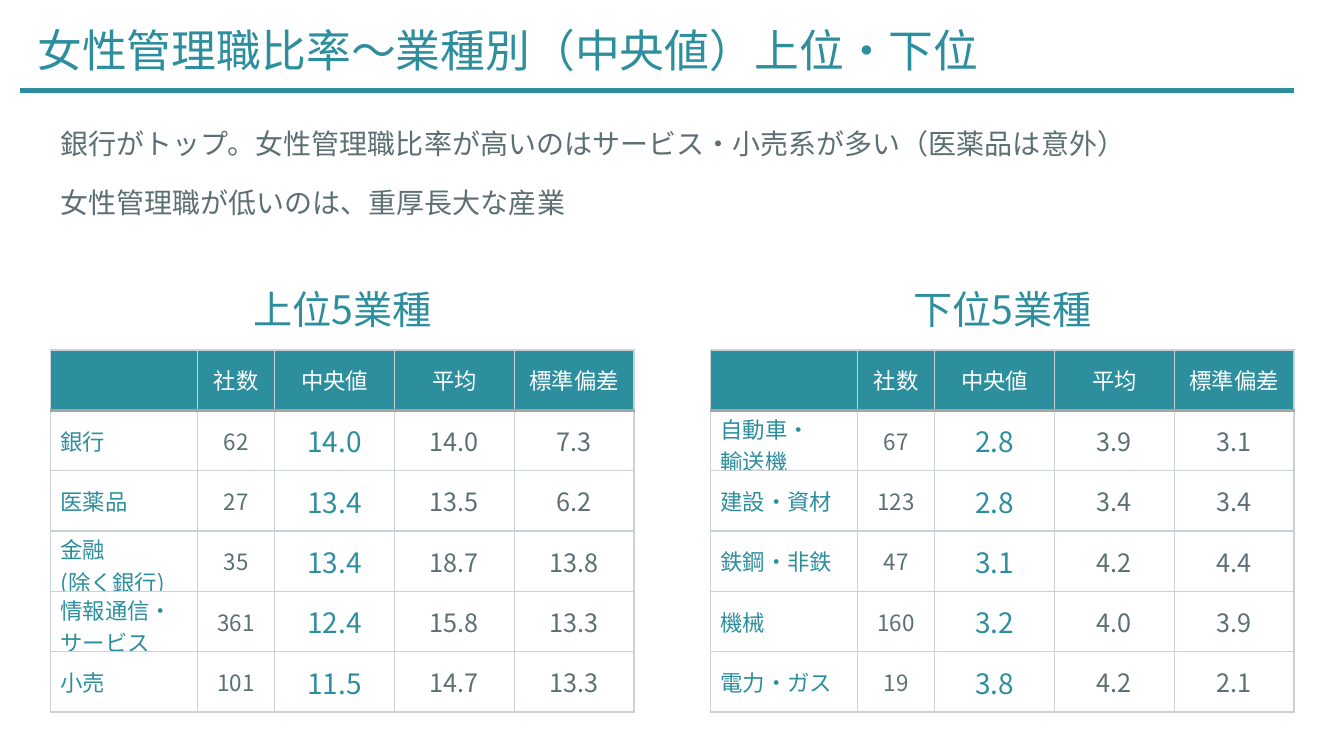
from lxml.etree import SubElement
from pptx import Presentation
from pptx.dml.color import RGBColor
from pptx.enum.shapes import MSO_CONNECTOR as CONN
from pptx.enum.text import MSO_ANCHOR as ANCHOR, PP_ALIGN as ALIGN
from pptx.oxml import parse_xml
from pptx.oxml.ns import nsdecls, qn
from pptx.util import Pt

FONT = "Noto Sans CJK JP"
TEAL, GRAY, WHITE = "2D8F9E", "5C6F73", "FFFFFF"
GRID, HEADER_RULE = "C9D2D4", "A5A5A5"
TABLE_W, ROW_H = 417, 43.1
COL_WIDTHS = [105.2, 55, 85.6, 85.6, 85.6]
HEADER = ["", "社数", "中央値", "平均", "標準偏差"]
BODY_STYLES = [
    (16, TEAL, ALIGN.LEFT),
    (16, GRAY, ALIGN.CENTER),
    (20, TEAL, ALIGN.CENTER),
    (18, GRAY, ALIGN.CENTER),
    (18, GRAY, ALIGN.CENTER),
]
TOP_ROWS = [
    ["銀行", "62", "14.0", "14.0", "7.3"],
    ["医薬品", "27", "13.4", "13.5", "6.2"],
    ["金融\n(除く銀行)", "35", "13.4", "18.7", "13.8"],
    ["情報通信・\nサービス", "361", "12.4", "15.8", "13.3"],
    ["小売", "101", "11.5", "14.7", "13.3"],
]
BOTTOM_ROWS = [
    ["自動車・\n輸送機", "67", "2.8", "3.9", "3.1"],
    ["建設・資材", "123", "2.8", "3.4", "3.4"],
    ["鉄鋼・非鉄", "47", "3.1", "4.2", "4.4"],
    ["機械", "160", "3.2", "4.0", "3.9"],
    ["電力・ガス", "19", "3.8", "4.2", "2.1"],
]


def rgb(color):
    """Turn a hex string into a colour."""
    return RGBColor.from_string(color)


def write(tf, text, size, color, align=ALIGN.LEFT):
    """Fill a text frame, one paragraph per line."""
    tf.text = text
    for p in tf.paragraphs:
        p.alignment = align
        p.font.size = Pt(size)
        p.font.name = FONT
        p.font.color.rgb = rgb(color)
        latin = next(p._p.iter(qn("a:latin")))
        latin.addnext(latin.makeelement(qn("a:ea"), {"typeface": FONT}))


def add_text(s, text, x, y, w, h, size, color, align=ALIGN.LEFT):
    """Add a wrapping text box and return its frame."""
    tf = s.shapes.add_textbox(Pt(x), Pt(y), Pt(w), Pt(h)).text_frame
    tf.word_wrap = True
    write(tf, text, size, color, align)
    return tf


def add_rule(s, x1, x2, y):
    """Draw the horizontal rule under the title."""
    line = s.shapes.add_connector(CONN.STRAIGHT, Pt(x1), Pt(y), Pt(x2), Pt(y))
    line.line.color.rgb = rgb(TEAL)
    line.line.width = Pt(3)
    SubElement(line._element.spPr, qn("a:effectLst"))


def set_borders(cell, top, bottom):
    """Draw the four borders of a cell; top and bottom are (colour, width)."""
    side = (GRID, 1)
    edges = [("L", side), ("R", side), ("T", top), ("B", bottom)]
    tcPr = cell._tc.get_or_add_tcPr()
    for i, (edge, (color, width)) in enumerate(edges):
        tcPr.insert(i, parse_xml(
            f'<a:ln{edge} {nsdecls("a")} w="{Pt(width)}"><a:solidFill>'
            f'<a:srgbClr val="{color}"/></a:solidFill></a:ln{edge}>'))


def style_cell(cell, row, col, text):
    """Write and format one cell of an industry table."""
    thin, thick = (GRID, 1), (HEADER_RULE, 2.25)
    cell.vertical_anchor = ANCHOR.MIDDLE
    cell.fill.solid()
    cell.fill.fore_color.rgb = rgb(WHITE if row else TEAL)
    if row:
        cell.margin_top = cell.margin_bottom = Pt(1.44)
        write(cell.text_frame, text, *BODY_STYLES[col])
    elif text:
        write(cell.text_frame, text, 16, WHITE, ALIGN.CENTER)
    set_borders(cell, thick if row == 1 else thin, thin if row else thick)


def add_industries(s, x, heading, rows):
    """Add a heading and the table of industries below it."""
    add_text(s, heading, x, 200, TABLE_W, 41.2, 28, TEAL, ALIGN.CENTER)
    data = [HEADER] + rows
    table = s.shapes.add_table(len(data), len(HEADER), Pt(x), Pt(250),
                               Pt(TABLE_W), Pt(ROW_H * len(data))).table
    table.first_row = table.horz_banding = False
    for column, width in zip(table.columns, COL_WIDTHS):
        column.width = Pt(width)
    for i, values in enumerate(data):
        table.rows[i].height = Pt(ROW_H)
        for j, text in enumerate(values):
            style_cell(table.cell(i, j), i, j, text)


def main():
    """Build the slide and save it."""
    prs = Presentation()
    prs.slide_width, prs.slide_height = Pt(960), Pt(540)
    s = prs.slides.add_slide(prs.slide_layouts[6])
    add_text(s, "女性管理職比率〜業種別（中央値）上位・下位",
             19.6, 13, 727, 46, 32, TEAL)
    add_rule(s, 14.4, 924.4, 64.6)
    summary = add_text(
        s, "銀行がトップ。女性管理職比率が高いのはサービス・小売系が多い（医薬品は意外）\n"
        "女性管理職が低いのは、重厚長大な産業", 36, 75, 847, 80.6, 20, GRAY)
    for p in summary.paragraphs:
        p.line_spacing = 1.5
        p.space_before = Pt(6)
    add_industries(s, 36, "上位5業種", TOP_ROWS)
    add_industries(s, 507.4, "下位5業種", BOTTOM_ROWS)
    prs.save("out.pptx")


if __name__ == "__main__":
    main()
